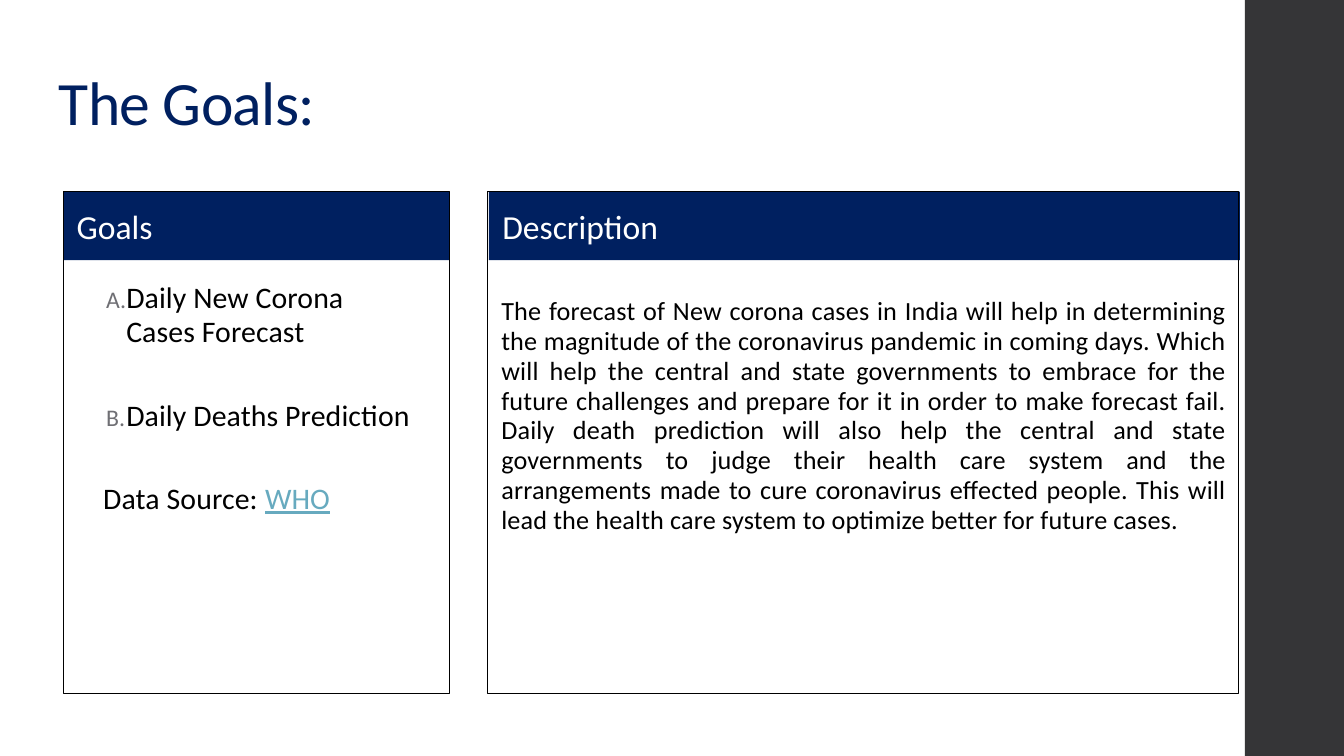
from dataclasses import dataclass

from lxml import etree
from pptx import Presentation
from pptx.dml.color import RGBColor
from pptx.enum.shapes import MSO_SHAPE as Shape
from pptx.enum.text import MSO_ANCHOR as Anchor, MSO_AUTO_SIZE as AutoSize, PP_ALIGN as Align
from pptx.oxml.ns import qn
from pptx.util import Pt

FONT = "Calibri"
NAVY, CHARCOAL, BLACK, WHITE = "002060", "353537", "000000", "FFFFFF"
GREY, LINK = "6F6F74", "67AABF"
SLIDE_W, SLIDE_H = 960, 540
PANEL_TOP, PANEL_H, HEADER_H = 136.8, 358.5, 49
INSET = 9.6


@dataclass
class Panel:
    heading: str
    left: float
    header_left: float
    width: float


@dataclass
class Item:
    text: str
    size: float
    lettered: bool = False
    margin: float = 0
    indent: float = 0
    align: Align = Align.LEFT


PANELS = [
    Panel("Goals", 45.2, 45.2, 275.8),
    Panel("Description", 348.5, 349.2, 536.4),
]
GOALS = [
    Item("Daily New Corona Cases Forecast", 21.3, True, 36, -14.4),
    Item("Daily Deaths Prediction", 21.3, True, 36, -14.4),
    Item("Data Source: ", 21.3, margin=19.5),
]
DESCRIPTION = [Item(
    "The forecast of New corona cases in India will help in determining the magnitude of "
    "the coronavirus pandemic in coming days. Which will help the central and state "
    "governments to embrace for the future challenges and prepare for it in order to make "
    "forecast fail. Daily death prediction will also help the central and state governments "
    "to judge their health care system and the arrangements made to cure coronavirus "
    "effected people. This will lead the health care system to optimize better for future "
    "cases.", 18.7, align=Align.JUSTIFY)]


def rgb(color: str) -> RGBColor:
    return RGBColor.from_string(color)


def place(sp, left: float, top: float, width: float, height: float) -> None:
    sp.left, sp.top, sp.width, sp.height = Pt(left), Pt(top), Pt(width), Pt(height)


def set_frame(tf, anchor: Anchor) -> None:
    tf.word_wrap = True
    tf.auto_size = AutoSize.NONE
    tf.vertical_anchor = anchor
    tf.margin_left = tf.margin_right = tf.margin_top = tf.margin_bottom = Pt(INSET)


def style_run(r, size: float, color: str, spacing: float = 0) -> None:
    r.font.name, r.font.size = FONT, Pt(size)
    r.font.color.rgb = rgb(color)
    if spacing:
        r._r.get_or_add_rPr().set("spc", str(round(spacing * 100)))


def set_bullet(p, item: Item) -> None:
    pPr = p._p.get_or_add_pPr()
    pPr.set("marL", str(Pt(item.margin)))
    pPr.set("indent", str(Pt(item.indent)))
    if not item.lettered:
        etree.SubElement(pPr, qn("a:buNone"))
        return
    color = etree.SubElement(pPr, qn("a:buClr"))
    etree.SubElement(color, qn("a:srgbClr"), val=GREY)
    etree.SubElement(pPr, qn("a:buSzPct"), val="80000")
    etree.SubElement(pPr, qn("a:buFont"), typeface=FONT)
    etree.SubElement(pPr, qn("a:buAutoNum"), type="alphaUcPeriod")


def fill_body(sp, items: list[Item]) -> None:
    tf = sp.text_frame
    set_frame(tf, Anchor.TOP)
    for i, item in enumerate(items):
        p = tf.add_paragraph() if i else tf.paragraphs[0]
        p.text = item.text
        p.alignment = item.align
        p.line_spacing = 0.95
        p.space_before, p.space_after = Pt(14), Pt(21.3)
        set_bullet(p, item)
        style_run(p.runs[0], item.size, BLACK, 0.1)


def add_rect(s, left: float, top: float, width: float, height: float,
             fill: str | None = None, line: str | None = None):
    sp = s.shapes.add_shape(Shape.RECTANGLE, Pt(left), Pt(top), Pt(width), Pt(height))
    sp.shadow.inherit = False
    if fill:
        sp.fill.solid()
        sp.fill.fore_color.rgb = rgb(fill)
    else:
        sp.fill.background()
    if line:
        sp.line.color.rgb = rgb(line)
        sp.line.width = Pt(0.75)
    else:
        sp.line.fill.background()
    return sp


def add_panel(s, panel: Panel) -> None:
    header = add_rect(s, panel.header_left, PANEL_TOP, panel.width, HEADER_H, fill=NAVY)
    tf = header.text_frame
    set_frame(tf, Anchor.MIDDLE)
    tf.text = panel.heading
    p = tf.paragraphs[0]
    p.alignment = Align.LEFT
    style_run(p.runs[0], 24, WHITE)
    add_rect(s, panel.left, PANEL_TOP, panel.width, PANEL_H, line=BLACK)


def main() -> None:
    prs = Presentation()
    prs.slide_width, prs.slide_height = Pt(SLIDE_W), Pt(SLIDE_H)
    s = prs.slides.add_slide(prs.slide_layouts.get_by_name("Two Content"))
    title, goals, description = s.placeholders

    # Side bar
    add_rect(s, 889.2, 0, SLIDE_W - 889.2, SLIDE_H, fill=CHARCOAL)

    # Title
    place(title, 32.4, 43.2, 840, 64)
    tf = title.text_frame
    set_frame(tf, Anchor.MIDDLE)
    tf.text = "The Goals:"
    p = tf.paragraphs[0]
    p.alignment, p.line_spacing = Align.LEFT, 0.9
    style_run(p.runs[0], 44, NAVY, -0.5)

    # Goals list, with its source
    place(goals, 44.6, 191.5, 260, 293)
    fill_body(goals, GOALS)
    r = goals.text_frame.paragraphs[-1].add_run()
    r.text = "WHO"
    style_run(r, 21.3, LINK, 0.1)
    r.font.underline = True

    # Description text
    place(description, 348.5, 202.3, 537.1, 293)
    fill_body(description, DESCRIPTION)

    # Framed panels
    for panel in PANELS:
        add_panel(s, panel)

    prs.save("out.pptx")


if __name__ == "__main__":
    main()
